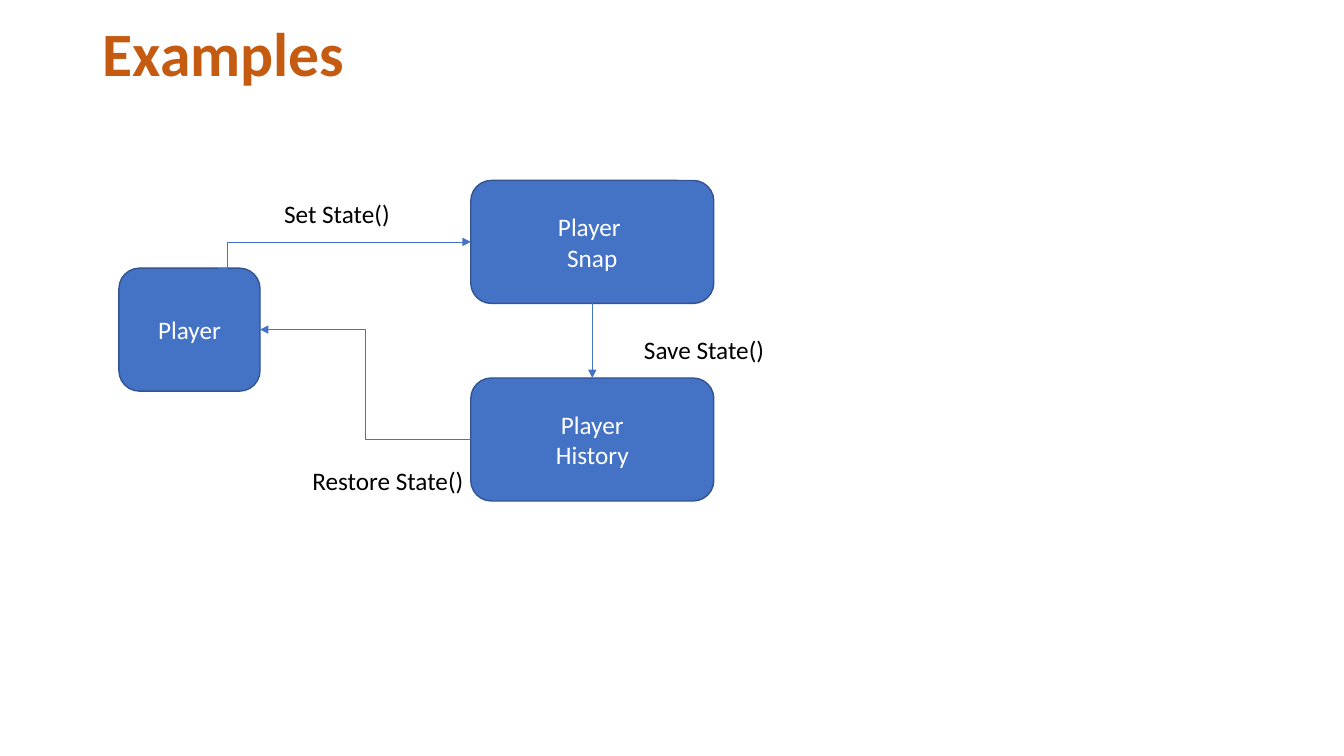
from dataclasses import dataclass

from lxml import etree
from pptx import Presentation
from pptx.dml.color import RGBColor
from pptx.enum.shapes import MSO_CONNECTOR, MSO_SHAPE
from pptx.enum.text import MSO_ANCHOR, PP_ALIGN
from pptx.oxml.ns import qn
from pptx.shapes.autoshape import Shape
from pptx.shapes.connector import Connector
from pptx.text.text import TextFrame
from pptx.util import Inches, Pt

ROUNDED = MSO_SHAPE.ROUNDED_RECTANGLE
STRAIGHT, ELBOW = MSO_CONNECTOR.STRAIGHT, MSO_CONNECTOR.ELBOW
TOP, MIDDLE = MSO_ANCHOR.TOP, MSO_ANCHOR.MIDDLE
LEFT, CENTER = PP_ALIGN.LEFT, PP_ALIGN.CENTER
# Connection sites of a rounded rectangle
SITE_TOP, SITE_LEFT, SITE_BOTTOM, SITE_RIGHT = range(4)


@dataclass(frozen=True)
class Theme:
    font: str = "Calibri"
    title_size: Pt = Pt(44)
    body_size: Pt = Pt(18)
    title: RGBColor = RGBColor(0xC5, 0x5A, 0x11)
    text: RGBColor = RGBColor(0, 0, 0)
    on_box: RGBColor = RGBColor(255, 255, 255)
    box: RGBColor = RGBColor(0x44, 0x72, 0xC4)
    box_line: RGBColor = RGBColor(0x32, 0x54, 0x91)
    box_line_width: Pt = Pt(1)
    arrow_width: Pt = Pt(0.5)


@dataclass(frozen=True)
class Block:
    """Text with its place in columns and rows of the grid."""
    text: str
    col: float
    row: float
    cols: float
    rows: float


THEME = Theme()
prs = Presentation()
prs.slide_width, prs.slide_height = Inches(13.33), Inches(7.5)
slide = prs.slides.add_slide(prs.slide_layouts[6])

# Grid of 100 columns by 100 rows
COLUMN, ROW = prs.slide_width / 100, prs.slide_height / 100
BOX_ROWS, LABEL_ROWS = 16.27, 5.33
STATE_COL, STATE_COLS = 35.03, 18.08

TITLE = Block("Examples", 6.9, 1.73, 86.25, 11.6)
PLAYER = Block("Player", 8.85, 35.47, 10.5, BOX_ROWS)
SNAP = Block("Player \nSnap", STATE_COL, 23.87, STATE_COLS, BOX_ROWS)
HISTORY = Block("Player\nHistory", STATE_COL, 50, STATE_COLS, BOX_ROWS)
CALLS = [
    Block("Set State()", 20.4, 25.6, 14.63, LABEL_ROWS),
    Block("Save State()", 47.18, 43.6, 17.48, LABEL_ROWS),
    Block("Restore State()", 22.5, 60.93, 13.5, LABEL_ROWS),
]


def place(block: Block) -> tuple[int, int, int, int]:
    return (round(block.col * COLUMN), round(block.row * ROW),
            round(block.cols * COLUMN), round(block.rows * ROW))


def write(frame: TextFrame, text: str, size: Pt, color: RGBColor,
          align: PP_ALIGN = LEFT, anchor: MSO_ANCHOR = TOP) -> None:
    frame.word_wrap = True
    frame.vertical_anchor = anchor
    frame.text = text
    for paragraph in frame.paragraphs:
        paragraph.alignment = align
        paragraph.font.name = THEME.font
        paragraph.font.size = size
        paragraph.font.color.rgb = color


def add_box(block: Block) -> Shape:
    box = slide.shapes.add_shape(ROUNDED, *place(block))
    box.shadow.inherit = False
    box.fill.solid()
    box.fill.fore_color.rgb = THEME.box
    box.line.color.rgb = THEME.box_line
    box.line.width = THEME.box_line_width
    write(box.text_frame, block.text, THEME.body_size, THEME.on_box, CENTER, MIDDLE)
    return box


def add_arrow(kind: MSO_CONNECTOR, source: Shape, source_site: int,
              target: Shape, target_site: int) -> Connector:
    arrow = slide.shapes.add_connector(kind, 0, 0, 0, 0)
    arrow.begin_connect(source, source_site)
    arrow.end_connect(target, target_site)
    arrow.line.color.rgb = THEME.box
    arrow.line.width = THEME.arrow_width
    properties = arrow._element.spPr
    outline = properties.find(qn("a:ln"))
    etree.SubElement(outline, qn("a:tailEnd"), type="triangle")
    etree.SubElement(properties, qn("a:effectLst"))
    return arrow


def start_at(arrow: Connector, x: int, y: int, bend: float) -> None:
    """Free the start of an elbow arrow and set the share where it bends."""
    for link in list(arrow._element.iter(qn("a:stCxn"))):
        link.getparent().remove(link)
    arrow.begin_x, arrow.begin_y = x, y
    guides = next(arrow._element.iter(qn("a:avLst")))
    etree.SubElement(guides, qn("a:gd"), name="adj1", fmla=f"val {round(bend * 100000)}")


# Title
title = slide.shapes.add_textbox(*place(TITLE)).text_frame
write(title, TITLE.text, THEME.title_size, THEME.title, anchor=MIDDLE)
title.paragraphs[0].font.bold = True
title.paragraphs[0].line_spacing = 0.9

# Boxes
player, snap, history = (add_box(block) for block in (PLAYER, SNAP, HISTORY))

# Arrows
set_state = add_arrow(ELBOW, player, SITE_TOP, snap, SITE_LEFT)
start_at(set_state, player.left + round(player.width * 0.7), player.top, bend=0.04)
add_arrow(STRAIGHT, snap, SITE_BOTTOM, history, SITE_TOP)
add_arrow(ELBOW, history, SITE_LEFT, player, SITE_RIGHT)

# Calls beside the arrows
for call in CALLS:
    label = slide.shapes.add_textbox(*place(call)).text_frame
    write(label, call.text, THEME.body_size, THEME.text)

prs.save("out.pptx")
